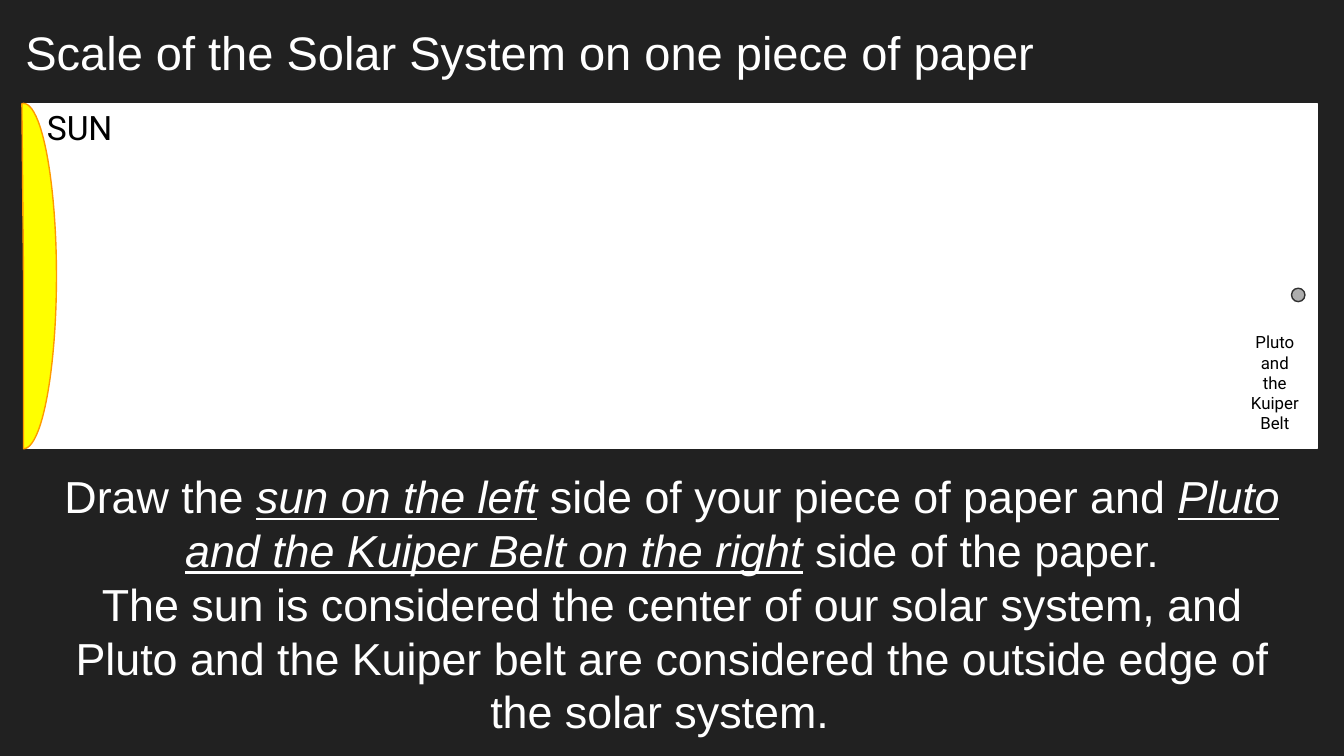
from pptx import Presentation
from pptx.dml.color import RGBColor
from pptx.enum.shapes import MSO_SHAPE as Shape
from pptx.enum.text import MSO_ANCHOR as Anchor, PP_ALIGN as Align
from pptx.util import Inches, Pt

WIDTH = 10
HEIGHT = WIDTH * 9 / 16
COLUMNS = 100
CELL = WIDTH / COLUMNS
COLORS = {
    "space": "212121", "paper": "FFFFFF", "ink": "000000",
    "sun": "FFFF00", "sun_edge": "FF9900",
    "pluto": "ADADAD", "pluto_edge": "303030",
}
TITLE = "Scale of the Solar System on one piece of paper"
INSTRUCTIONS = [
    [("Draw the ", False), ("sun on the left", True),
     (" side of your piece of paper and ", False),
     ("Pluto and the Kuiper Belt on the right", True),
     (" side of the paper.", False)],
    [("The sun is considered the center of our solar system, and Pluto and "
      "the Kuiper belt are considered the outside edge of the solar system.  ",
      False)],
]


def color(name):
    return RGBColor.from_string(COLORS[name])


def grid(column, row, columns, rows):
    return [Inches(CELL * n) for n in (column, row, columns, rows)]


def add_body(slide, kind, place, fill, edge):
    body = slide.shapes.add_shape(kind, *grid(*place))
    body.shadow.inherit = False
    body.fill.solid()
    body.fill.fore_color.rgb = color(fill)
    body.line.color.rgb = color(edge)
    body.line.width = Pt(0.75)
    return body


def add_text(slide, place, paragraphs, size, font="Arial", ink="paper",
             align=Align.LEFT, anchor=Anchor.TOP):
    frame = slide.shapes.add_textbox(*grid(*place)).text_frame
    frame.word_wrap = True
    frame.vertical_anchor = anchor
    frame.margin_left = frame.margin_right = Inches(0.1)
    frame.margin_top = frame.margin_bottom = Inches(0.1)
    for index, pieces in enumerate(paragraphs):
        paragraph = frame.add_paragraph() if index else frame.paragraphs[0]
        paragraph.alignment = align
        for words, stressed in pieces:
            run = paragraph.add_run()
            run.text = words
            run.font.name = font
            run.font.size = Pt(size)
            run.font.color.rgb = color(ink)
            if stressed:
                run.font.italic = run.font.underline = True


def add_label(slide, place, words, size, **style):
    add_text(slide, place, [[(words, False)]], size, **style)


def main():
    deck = Presentation()
    deck.slide_width, deck.slide_height = Inches(WIDTH), Inches(HEIGHT)
    slide = deck.slides.add_slide(deck.slide_layouts[6])
    slide.background.fill.solid()
    slide.background.fill.fore_color.rgb = color("space")

    add_label(slide, (0.9, 0.7, 93.2, 6.3), TITLE, 25.2, anchor=Anchor.MIDDLE)
    add_text(slide, (3.4, 33.9, 93.2, 19.1), INSTRUCTIONS, 24,
             align=Align.CENTER)

    add_body(slide, Shape.RECTANGLE, (1.8, 7.7, 96.2, 25.7), "paper", "paper")
    sun = add_body(slide, Shape.PIE, (-0.7, 7.7, 4.9, 25.7), "sun", "sun_edge")
    sun.adjustments[0], sun.adjustments[1] = 161.68, 54
    add_body(slide, Shape.OVAL, (96.1, 21.45, 1, 1), "pluto", "pluto_edge")

    add_label(slide, (2.5, 6.95, 7.2, 5), "SUN", 18, font="Roboto", ink="ink")
    add_label(slide, (91.9, 23.7, 5.9, 8.1), "Pluto and the Kuiper Belt", 9,
              font="Roboto", ink="ink", align=Align.CENTER)

    deck.save("out.pptx")


if __name__ == "__main__":
    main()
